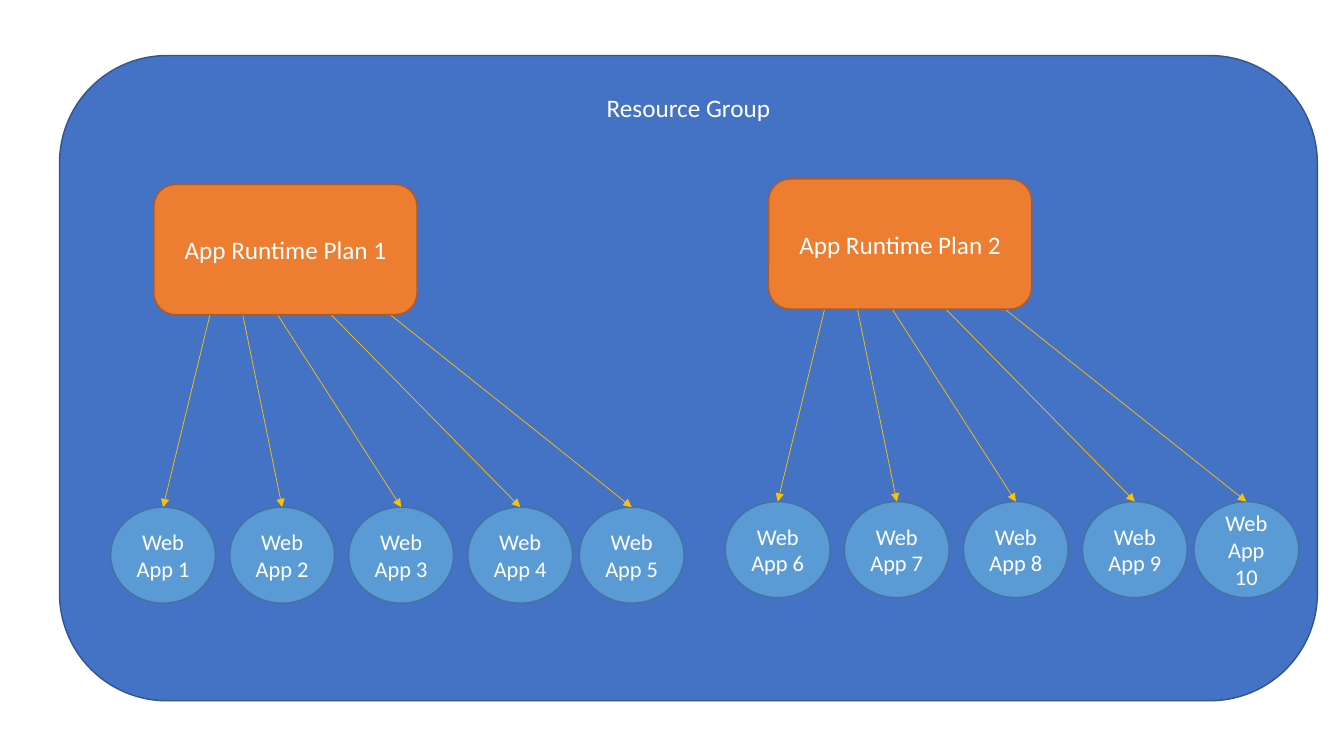
from pptx import Presentation
from pptx.dml.color import RGBColor as Rgb
from pptx.enum.shapes import MSO_CONNECTOR as Link, MSO_SHAPE as Kind
from pptx.enum.text import MSO_ANCHOR as Anchor, PP_ALIGN as Align
from pptx.oxml.ns import qn
from pptx.util import Cm, Pt
from lxml.etree import SubElement as Sub

TITLE = "Resource Group"
PLANS = [
    ("App Runtime Plan 1", (2.79, 4.65),
     ["Web App 1", "Web App 2", "Web App 3", "Web App 4", "Web App 5"]),
    ("App Runtime Plan 2", (18.28, 4.51),
     ["Web App 6", "Web App 7", "Web App 8", "Web App 9", "Web App 10"]),
]
THEME = {
    "font": "Calibri", "text": "FFFFFF", "arrow": "FFC000", "thin": 0.5,
    "frame": ("4472C4", "325491", 18),
    "plan": ("ED7D31", "AF5C24", 18),
    "app": ("5B9BD5", "43739E", 16),
}

SLIDE = (33.87, 19.05)
FRAME = (1.5, 1.4, 31.7, 16.26)
PLAN_X, PLAN_SIZE = 1.09, (6.63, 3.28)
APP_Y, APP_SIZE = 8.13, (2.64, 2.42)
APP_XS = [3 * i for i in range(4)] + [11.81]
STARTS = [(2.54, 3.12), (3.25, 2.9), (3.89, 2.79), (4.83, 2.54), (5.99, 2.44)]


def add_box(shapes, kind, box, style, text, anchor=Anchor.MIDDLE):
    fill, edge, size = THEME[style]
    shape = shapes.add_shape(kind, *map(Cm, box))
    shape.shadow.inherit = False
    shape.fill.solid()
    shape.fill.fore_color.rgb = Rgb.from_string(fill)
    shape.line.color.rgb = Rgb.from_string(edge)
    shape.line.width = Pt(1)
    frame = shape.text_frame
    frame.word_wrap = True
    frame.vertical_anchor = anchor
    para = frame.paragraphs[0]
    para.alignment = Align.CENTER
    run = para.add_run()
    run.text = text
    run.font.name = THEME["font"]
    run.font.size = Pt(size)
    run.font.color.rgb = Rgb.from_string(THEME["text"])
    return shape


def add_arrow(shapes, x, y, app):
    line = shapes.add_connector(Link.STRAIGHT, Cm(x), Cm(y), app.left, app.top)
    line.end_connect(app, 0)
    line.line.color.rgb = Rgb.from_string(THEME["arrow"])
    line.line.width = Pt(THEME["thin"])
    props = line._element.spPr
    Sub(props.find(qn("a:ln")), qn("a:tailEnd"), type="triangle")
    Sub(props, qn("a:effectLst"))


def add_plan(slide, name, left, top, names):
    shapes = slide.shapes.add_group_shape().shapes
    apps = [add_box(shapes, Kind.OVAL, (left + x, top + APP_Y, *APP_SIZE), "app", text)
            for x, text in zip(APP_XS, names)]
    for (x, y), app in zip(STARTS, apps):
        add_arrow(shapes, left + x, top + y, app)
    add_box(shapes, Kind.ROUNDED_RECTANGLE, (left + PLAN_X, top, *PLAN_SIZE), "plan", name)


def main():
    deck = Presentation()
    deck.slide_width, deck.slide_height = map(Cm, SLIDE)
    slide = deck.slides.add_slide(deck.slide_layouts[6])
    add_box(slide.shapes, Kind.ROUNDED_RECTANGLE, FRAME, "frame", TITLE, Anchor.TOP)
    for name, (left, top), names in PLANS:
        add_plan(slide, name, left, top, names)
    deck.save("out.pptx")


if __name__ == "__main__":
    main()
